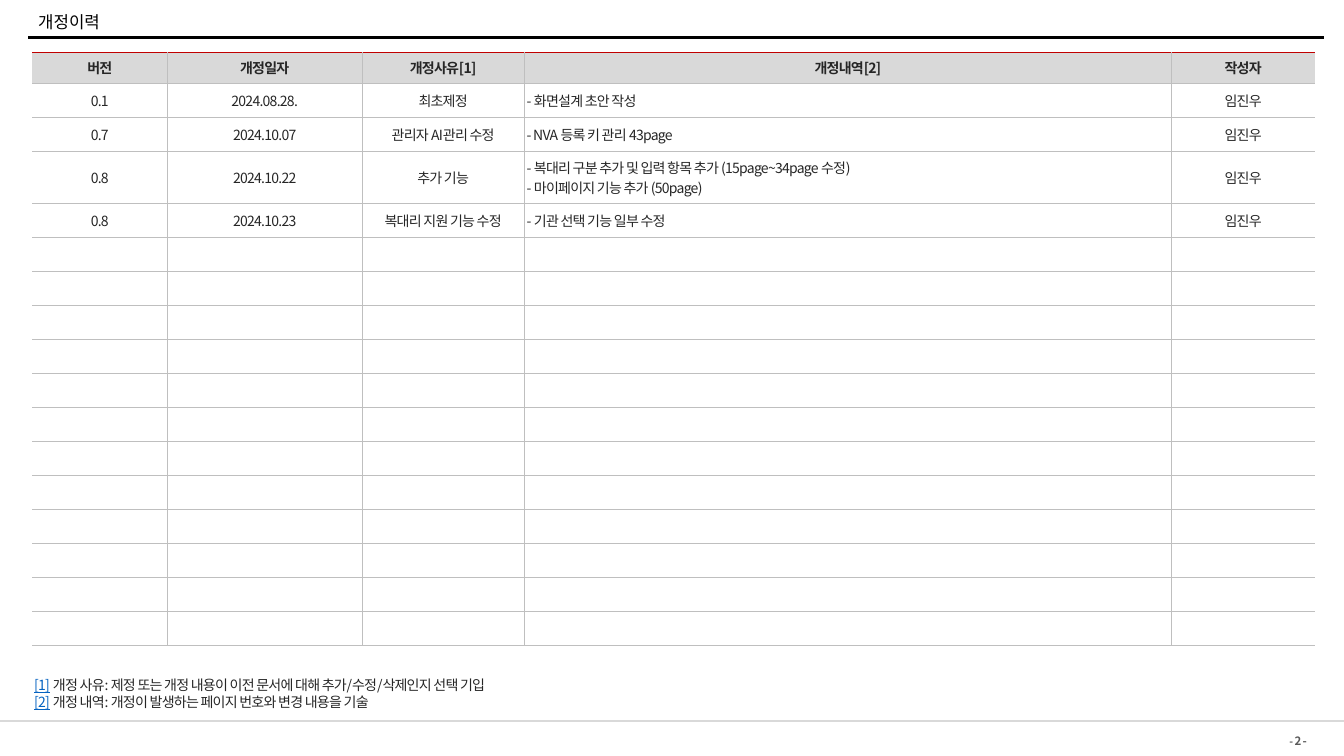
import pptx
import pptx.dml.color
import pptx.enum.shapes
import pptx.enum.text
import pptx.oxml
import pptx.oxml.ns
import pptx.util
from lxml import etree

COLORS = {"black": "000000", "ink": "262626", "muted": "595959", "grid": "BFBFBF",
          "header": "D9D9D9", "white": "FFFFFF", "accent": "C00000", "link": "0563C1"}
ALIGN = pptx.enum.text.PP_ALIGN
MIDDLE = pptx.enum.text.MSO_ANCHOR.MIDDLE
AUTO = pptx.enum.text.MSO_AUTO_SIZE

COLUMN_WIDTHS = [10.05, 14.48, 12.08, 48.16, 10.65]
HEADER_HEIGHT, ROW_HEIGHT, TWO_LINE_HEIGHT = 4.1, 4.5, 6.9
ROW_COUNT = 17
DETAIL_COLUMN = 3
REVISIONS = [
    ["버전", "개정일자", "개정사유[1]", "개정내역[2]", "작성자"],
    ["0.1", "2024.08.28.", "최초제정", " - 화면설계 초안 작성", "임진우"],
    ["0.7", "2024.10.07", "관리자 AI관리 수정", " - NVA 등록 키 관리 43page", "임진우"],
    ["0.8", "2024.10.22", "추가 기능",
     " - 복대리 구분 추가 및 입력 항목 추가 (15page~34page 수정)\n - 마이페이지 기능 추가 (50page)", "임진우"],
    ["0.8", "2024.10.23", "복대리 지원 기능 수정", " - 기관 선택 기능 일부 수정", "임진우"],
]
FOOTNOTES = [
    ("[1]", "개정 사유: 제정 또는 개정 내용이 이전 문서에 대해 추가/수정/삭제인지 선택 기입"),
    ("[2]", "개정 내역: 개정이 발생하는 페이지 번호와 변경 내용을 기술"),
]


class Deck:
    """Holds the style and current slide; lengths are percentages of the slide's size."""
    font = "Noto Sans CJK KR"
    size = 10

    def __init__(self):
        self.prs = pptx.Presentation()
        self.prs.slide_width = pptx.util.Inches(13.33)
        self.prs.slide_height = pptx.util.Inches(7.5)
        self.s = self.prs.slides.add_slide(self.prs.slide_layouts[6])

    def x(self, share):
        return round(self.prs.slide_width * share / 100)

    def y(self, share):
        return round(self.prs.slide_height * share / 100)

    def rgb(self, name):
        return pptx.dml.color.RGBColor.from_string(COLORS[name])

    def run(self, p, text, color="ink", size=None, bold=False, underline=False, spacing=-50):
        r = p.add_run()
        r.text = text
        r.font.size = pptx.util.Pt(size or self.size)
        r.font.bold = bold
        r.font.underline = underline
        r.font.color.rgb = self.rgb(color)
        r.font.name = self.font
        rpr = r._r.get_or_add_rPr()
        rpr.set("spc", str(spacing))
        etree.SubElement(rpr, pptx.oxml.ns.qn("a:ea"), typeface=self.font)

    def rule(self, left, right, top, color, width):
        sp = self.s.shapes.add_connector(
            pptx.enum.shapes.MSO_CONNECTOR.STRAIGHT,
            self.x(left), self.y(top), self.x(right), self.y(top))
        sp.line.color.rgb = self.rgb(color)
        sp.line.width = pptx.util.Pt(width)
        etree.SubElement(sp._element.spPr, pptx.oxml.ns.qn("a:effectLst"))

    def text_box(self, left, top, width, height, wrap=True, auto_size=AUTO.NONE):
        """Adds a middle-anchored box and returns its first paragraph."""
        sp = self.s.shapes.add_textbox(self.x(left), self.y(top), self.x(width), self.y(height))
        tf = sp.text_frame
        tf.word_wrap = wrap
        tf.auto_size = auto_size
        tf.vertical_anchor = MIDDLE
        return tf.paragraphs[0]

    def border(self, cell, side, color, width):
        """Draws one cell side, or clears it when color is None."""
        ln = etree.SubElement(cell._tc.get_or_add_tcPr(), pptx.oxml.ns.qn(f"a:ln{side}"),
                              w=str(pptx.util.Pt(width)))
        if color is None:
            etree.SubElement(ln, pptx.oxml.ns.qn("a:noFill"))
        else:
            fill = etree.SubElement(ln, pptx.oxml.ns.qn("a:solidFill"))
            etree.SubElement(fill, pptx.oxml.ns.qn("a:srgbClr"), val=COLORS[color])

    def cell(self, cell, text, header, align, first, last):
        self.border(cell, "L", None if first else "grid", 0.5)
        self.border(cell, "R", None if last else "grid", 0.5)
        self.border(cell, "T", "accent" if header else "grid", 1 if header else 0.5)
        self.border(cell, "B", "grid", 0.5)
        cell.fill.solid()
        cell.fill.fore_color.rgb = self.rgb("header" if header else "white")
        cell.vertical_anchor = MIDDLE
        cell.margin_left = cell.margin_right = 0
        cell.margin_top = cell.margin_bottom = pptx.util.Inches(0.05 if header else 0)
        tf = cell.text_frame
        for i, line in enumerate(text.split("\n")):
            p = tf.add_paragraph() if i else tf.paragraphs[0]
            p.alignment = align
            if line:
                self.run(p, line, bold=header)
            else:
                end = etree.SubElement(p._p, pptx.oxml.ns.qn("a:endParaRPr"))
                end.set("sz", str(self.size * 100))

    def table(self, left, top, widths, heights, rows):
        frame = self.s.shapes.add_table(
            len(heights), len(widths), self.x(left), self.y(top),
            self.x(sum(widths)), self.y(sum(heights)))
        tbl = frame.table
        tbl.first_row = tbl.horz_banding = False
        for column, width in zip(tbl.columns, widths):
            column.width = self.x(width)
        for i, height in enumerate(heights):
            tbl.rows[i].height = self.y(height)
            texts = rows[i] if i < len(rows) else [""] * len(widths)
            for j, text in enumerate(texts):
                detail = i > 0 and j == DETAIL_COLUMN
                self.cell(tbl.cell(i, j), text, i == 0, ALIGN.LEFT if detail else ALIGN.CENTER,
                          j == 0, j == len(widths) - 1)


def main():
    deck = Deck()
    deck.rule(2.1, 98.5, 4.97, "black", 2.25)
    deck.rule(0, 100, 95.4, "header", 1.5)

    p = deck.text_box(78.02, 96.67, 19.95, 2.8)
    p.alignment = ALIGN.RIGHT
    deck.run(p, "- ", "muted", 7.3, bold=True)
    deck.run(p, "2 -", "muted", 8.2, bold=True)

    p = deck.text_box(2.1, 1.2, 75.69, 3.73)
    p.line_spacing = 0.9
    deck.run(p, "개정이력", "black", 12, spacing=0)

    heights = [HEADER_HEIGHT] + [
        TWO_LINE_HEIGHT if i < len(REVISIONS) and "\n" in REVISIONS[i][DETAIL_COLUMN] else ROW_HEIGHT
        for i in range(1, ROW_COUNT)]
    deck.table(2.4, 6.93, COLUMN_WIDTHS, heights, REVISIONS)

    p = deck.text_box(1.8, 88.8, 39.23, 5.87, wrap=False, auto_size=AUTO.SHAPE_TO_FIT_TEXT)
    for i, (mark, note) in enumerate(FOOTNOTES):
        if i:
            p.add_line_break()
        deck.run(p, mark, "link", underline=True)
        deck.run(p, " ", "accent")
        deck.run(p, note)

    deck.prs.save("out.pptx")


if __name__ == "__main__":
    main()
